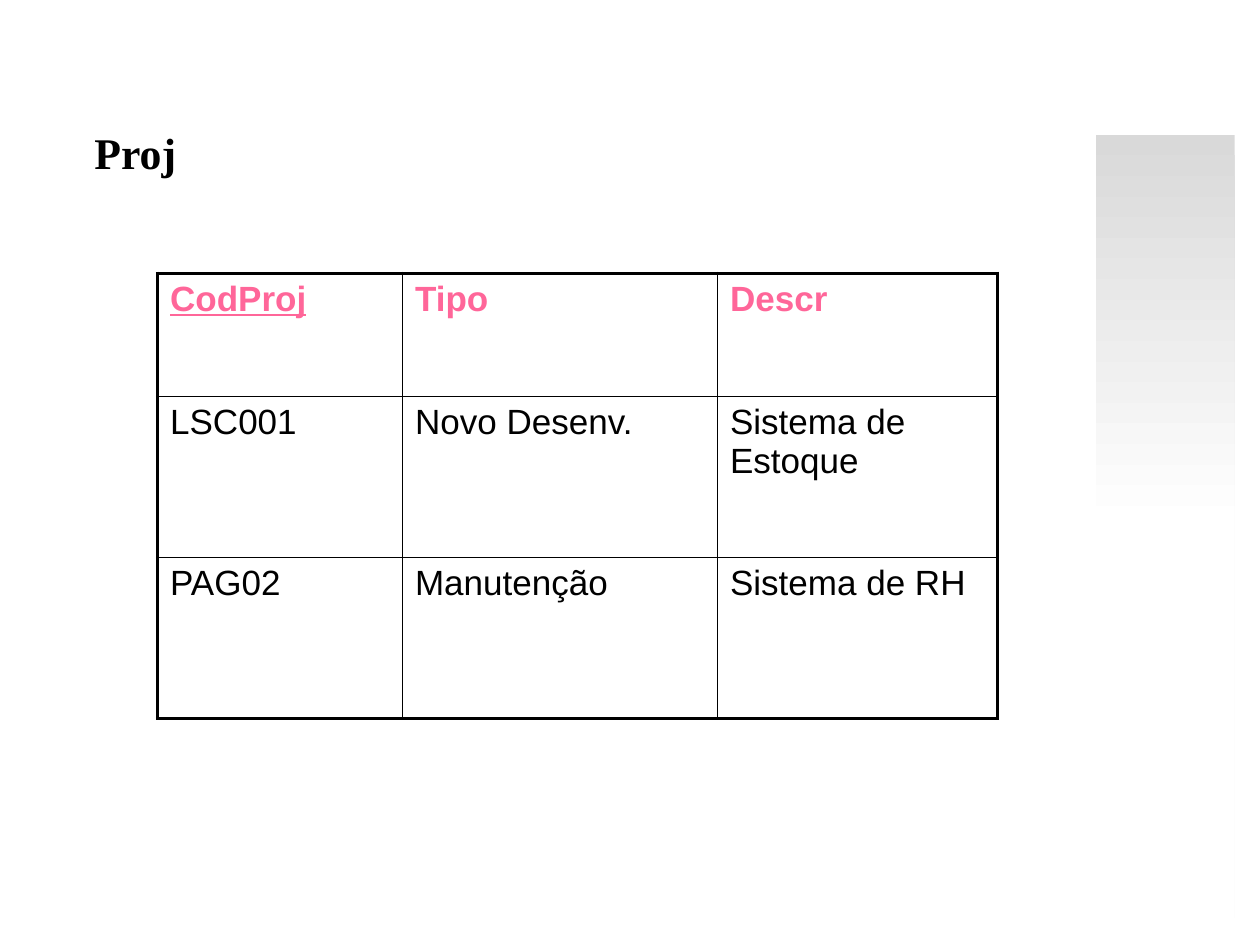
"""Build the Proj slide: a title, a shaded side bar and a project table."""
from lxml import etree
from pptx import Presentation
from pptx.dml.color import RGBColor
from pptx.enum.shapes import MSO_SHAPE
from pptx.enum.text import MSO_ANCHOR, MSO_AUTO_SIZE, PP_ALIGN
from pptx.oxml.ns import qn
from pptx.util import Pt

RECTANGLE = MSO_SHAPE.RECTANGLE
TOP = MSO_ANCHOR.TOP
FIT_SHAPE = MSO_AUTO_SIZE.SHAPE_TO_FIT_TEXT
CENTER = PP_ALIGN.CENTER

BLACK = RGBColor(0x00, 0x00, 0x00)
WHITE = RGBColor(0xFF, 0xFF, 0xFF)
GRAY = RGBColor(0xD9, 0xD9, 0xD9)
PINK = RGBColor(0xFF, 0x66, 0x99)

INNER, OUTER = Pt(1), Pt(2.25)
COL_WIDTHS = [140, 180, 160]
ROW_HEIGHTS = [70.4, 92, 92]
ROWS = [
    ["CodProj", "Tipo", "Descr"],
    ["LSC001", "Novo Desenv.", "Sistema de Estoque"],
    ["PAG02", "Manutenção", "Sistema de RH"],
]


def set_border(cell, index, side, width):
    ln = etree.Element(qn(f"a:ln{side}"), w=str(width))
    fill = etree.SubElement(ln, qn("a:solidFill"))
    etree.SubElement(fill, qn("a:srgbClr"), val=str(BLACK))
    cell._tc.get_or_add_tcPr().insert(index, ln)


prs = Presentation()
prs.slide_width, prs.slide_height = Pt(720), Pt(540)
s = prs.slides.add_slide(prs.slide_layouts[5])

bar = s.shapes.add_shape(RECTANGLE, Pt(626.4), Pt(77), Pt(79.2), Pt(447.8))
bar.shadow.inherit = False
bar.line.fill.background()
bar.fill.gradient()
bar.fill.gradient_angle = 270
for stop, color, position in zip(bar.fill.gradient_stops, [GRAY, WHITE], [0, 0.5]):
    stop.color.rgb = color
    stop.position = position

frame = s.shapes.add_table(
    len(ROWS), len(COL_WIDTHS), Pt(90), Pt(156.2), Pt(sum(COL_WIDTHS)), Pt(sum(ROW_HEIGHTS))
)
table = frame.table
table.first_row = table.horz_banding = False
for column, width in zip(table.columns, COL_WIDTHS):
    column.width = Pt(width)
for row, height in zip(table.rows, ROW_HEIGHTS):
    row.height = Pt(height)

last_row, last_col = len(ROWS) - 1, len(COL_WIDTHS) - 1
for i, texts in enumerate(ROWS):
    for j, text in enumerate(texts):
        cell = table.cell(i, j)
        cell.text = text
        cell.fill.background()
        font = cell.text_frame.paragraphs[0].font
        font.name, font.size = "Arial", Pt(20)
        font.bold = i == 0
        font.underline = i == 0 and j == 0
        font.color.rgb = PINK if i == 0 else BLACK
        edges = {"L": j == 0, "R": j == last_col, "T": i == 0, "B": i == last_row}
        for index, (side, is_outer) in enumerate(edges.items()):
            set_border(cell, index, side, OUTER if is_outer else INNER)

title = s.shapes.title
title.left, title.top, title.width, title.height = Pt(46), Pt(68.4), Pt(62.6), Pt(38.2)
tf = title.text_frame
tf.text = "Proj"
tf.word_wrap = False
tf.auto_size = FIT_SHAPE
tf.vertical_anchor = TOP
p = tf.paragraphs[0]
p.alignment = CENTER
p.font.name, p.font.size, p.font.bold = "Times New Roman", Pt(25), True
p.font.color.rgb = BLACK

prs.save("out.pptx")
